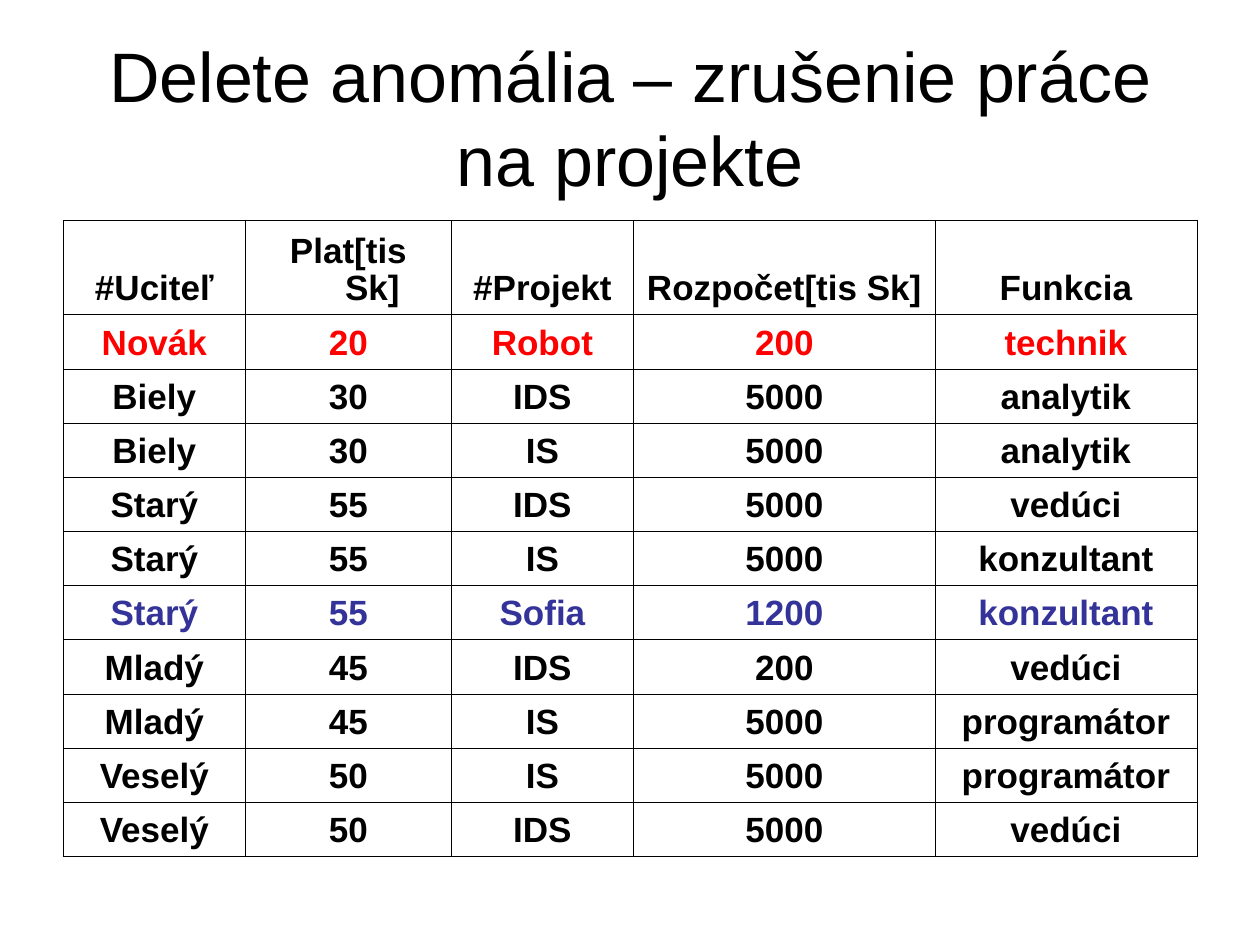
from lxml import etree
from pptx import Presentation
from pptx import util as u
from pptx.dml.color import RGBColor
from pptx.enum import text
from pptx.oxml.ns import qn

PX = 9144  # EMU per px, 100 px to the inch
BLACK, RED, BLUE = "000000", "FF0000", "333399"

COLUMNS = [145, 163, 145, 239, 208]
HEADER_HEIGHT, ROW_HEIGHT = 72, 43
ROWS = [
    ("#Uciteľ", "Plat[tis Sk]", "#Projekt", "Rozpočet[tis Sk]", "Funkcia"),
    ("Novák", "20", "Robot", "200", "technik"),
    ("Biely", "30", "IDS", "5000", "analytik"),
    ("Biely", "30", "IS", "5000", "analytik"),
    ("Starý", "55", "IDS", "5000", "vedúci"),
    ("Starý", "55", "IS", "5000", "konzultant"),
    ("Starý", "55", "Sofia", "1200", "konzultant"),
    ("Mladý", "45", "IDS", "200", "vedúci"),
    ("Mladý", "45", "IS", "5000", "programátor"),
    ("Veselý", "50", "IS", "5000", "programátor"),
    ("Veselý", "50", "IDS", "5000", "vedúci"),
]
ROW_COLORS = {1: RED, 6: BLUE}


def px(n):
    return u.Emu(n * PX)


def rgb(value):
    return RGBColor.from_string(value)


def write(tf, content, *, size, font, color=BLACK, bold=False, spacing=None, hanging=0):
    """Put one centred paragraph into a text frame."""
    p = tf.paragraphs[0]
    p.alignment = text.PP_ALIGN.CENTER
    p.line_spacing = spacing
    if hanging:
        pPr = p._p.get_or_add_pPr()
        pPr.set("marL", str(px(hanging)))
        pPr.set("indent", str(-px(hanging)))
    r = p.add_run()
    r.text = content
    r.font.name, r.font.size, r.font.bold = font, u.Pt(size), bold
    r.font.color.rgb = rgb(color)


def set_borders(cell, color, width):
    tcPr = cell._tc.get_or_add_tcPr()
    for i, side in enumerate(("lnL", "lnR", "lnT", "lnB")):
        ln = etree.Element(qn(f"a:{side}"), w=str(u.Pt(width)))
        fill = etree.SubElement(ln, qn("a:solidFill"))
        etree.SubElement(fill, qn("a:srgbClr"), val=color)
        tcPr.insert(i, ln)


class Deck:
    """Holds the style and the current slide."""

    font = "Arial"
    title_size = 40
    cell_size = 20
    border_width = 0.45

    def __init__(self, width, height):
        self.prs = Presentation()
        self.prs.slide_width, self.prs.slide_height = px(width), px(height)
        self.s = self.prs.slides.add_slide(self.prs.slide_layouts[6])

    def title(self, content, x, y, w, h):
        sp = self.s.shapes.add_textbox(px(x), px(y), px(w), px(h))
        tf = sp.text_frame
        tf.word_wrap = True
        tf.vertical_anchor = text.MSO_ANCHOR.MIDDLE
        write(tf, content, size=self.title_size, font=self.font, spacing=u.Pt(48))

    def table(self, rows, x, y, widths, heights, colors):
        frame = self.s.shapes.add_table(len(rows), len(widths), px(x), px(y),
                                        px(sum(widths)), px(sum(heights)))
        table = frame.table
        table.first_row = table.horz_banding = False
        for column, width in zip(table.columns, widths):
            column.width = px(width)
        for i, (row, height) in enumerate(zip(rows, heights)):
            table.rows[i].height = px(height)
            for j, content in enumerate(row):
                self.cell(table.cell(i, j), content, colors.get(i, BLACK))

    def cell(self, cell, content, color):
        cell.fill.background()
        cell.vertical_anchor = text.MSO_ANCHOR.BOTTOM
        cell.margin_left = cell.margin_right = px(10)
        cell.margin_top = cell.margin_bottom = px(5)
        set_borders(cell, BLACK, self.border_width)
        write(cell.text_frame, content, size=self.cell_size, font=self.font,
              color=color, bold=True, spacing=0.97, hanging=38)


def main():
    deck = Deck(1000, 750)
    deck.title("Delete anomália – zrušenie práce na projekte", 50, 30, 900, 125)
    heights = [HEADER_HEIGHT] + [ROW_HEIGHT] * (len(ROWS) - 1)
    deck.table(ROWS, 50, 175, COLUMNS, heights, ROW_COLORS)
    deck.prs.save("out.pptx")


if __name__ == "__main__":
    main()
